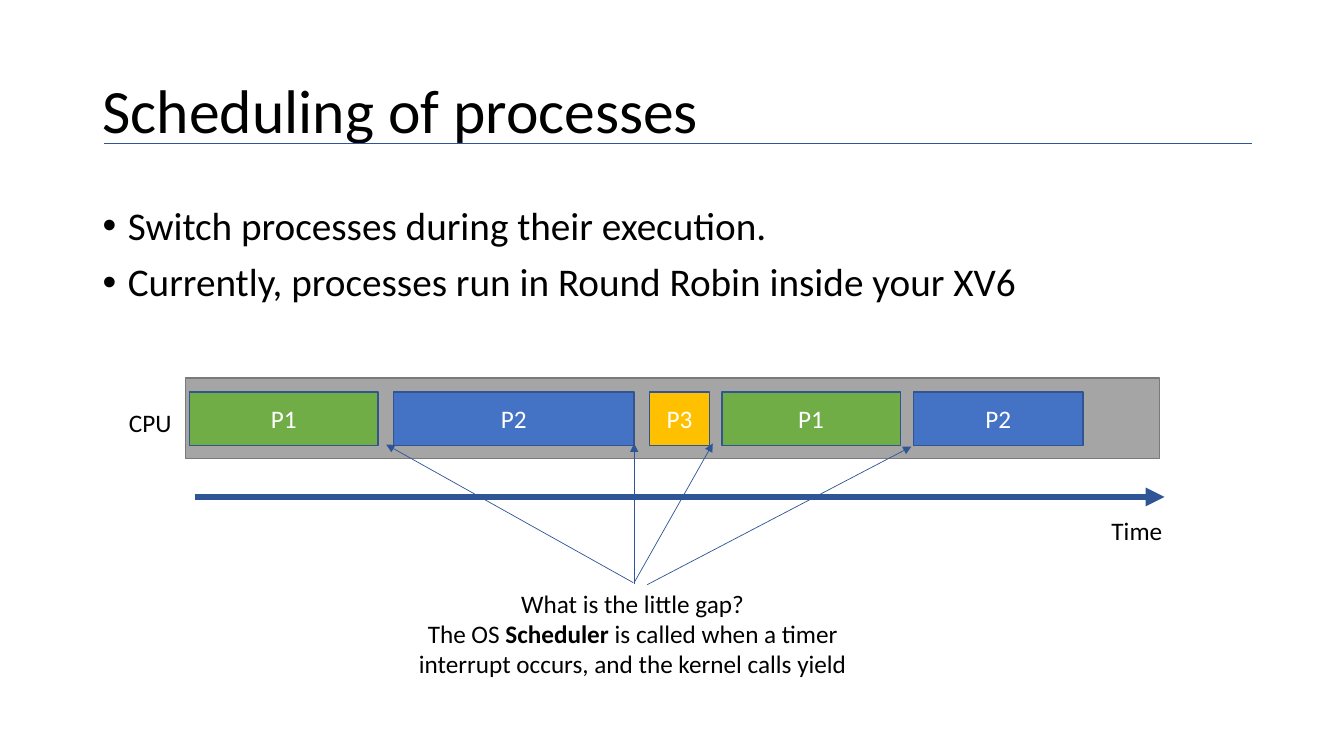
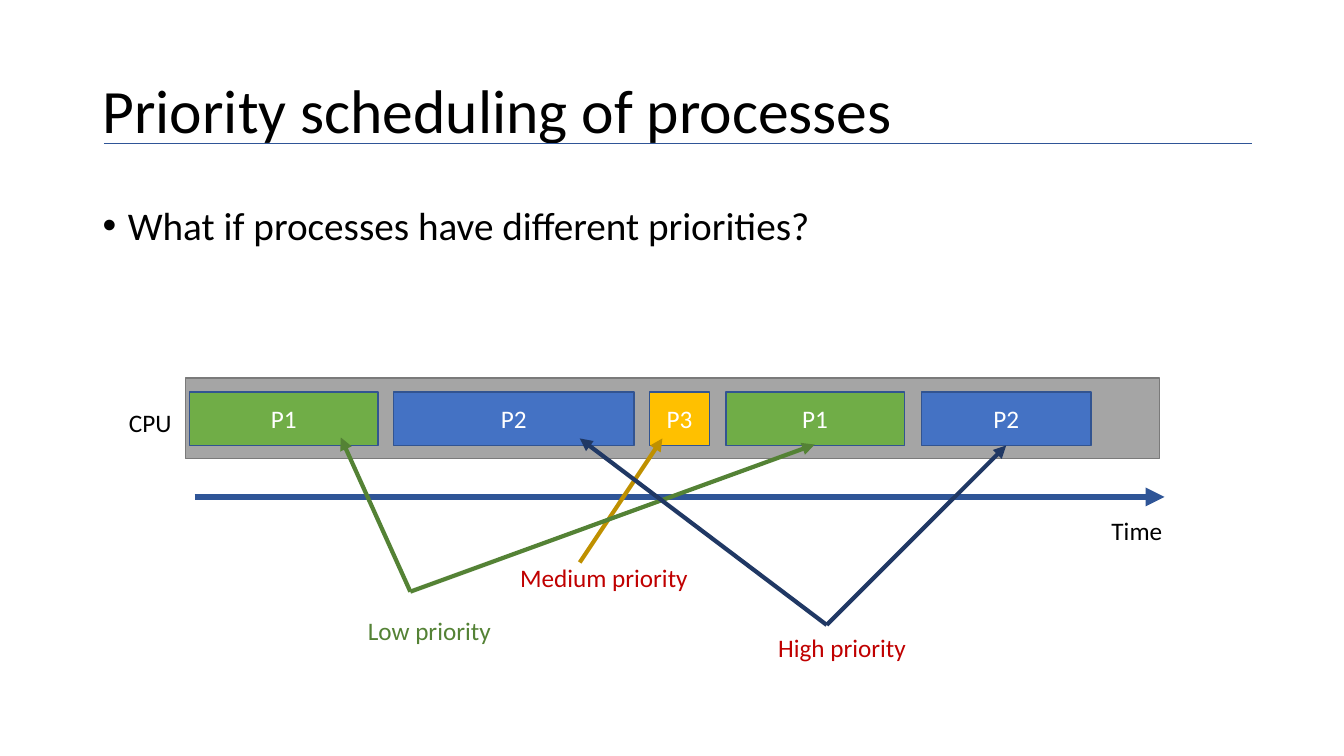
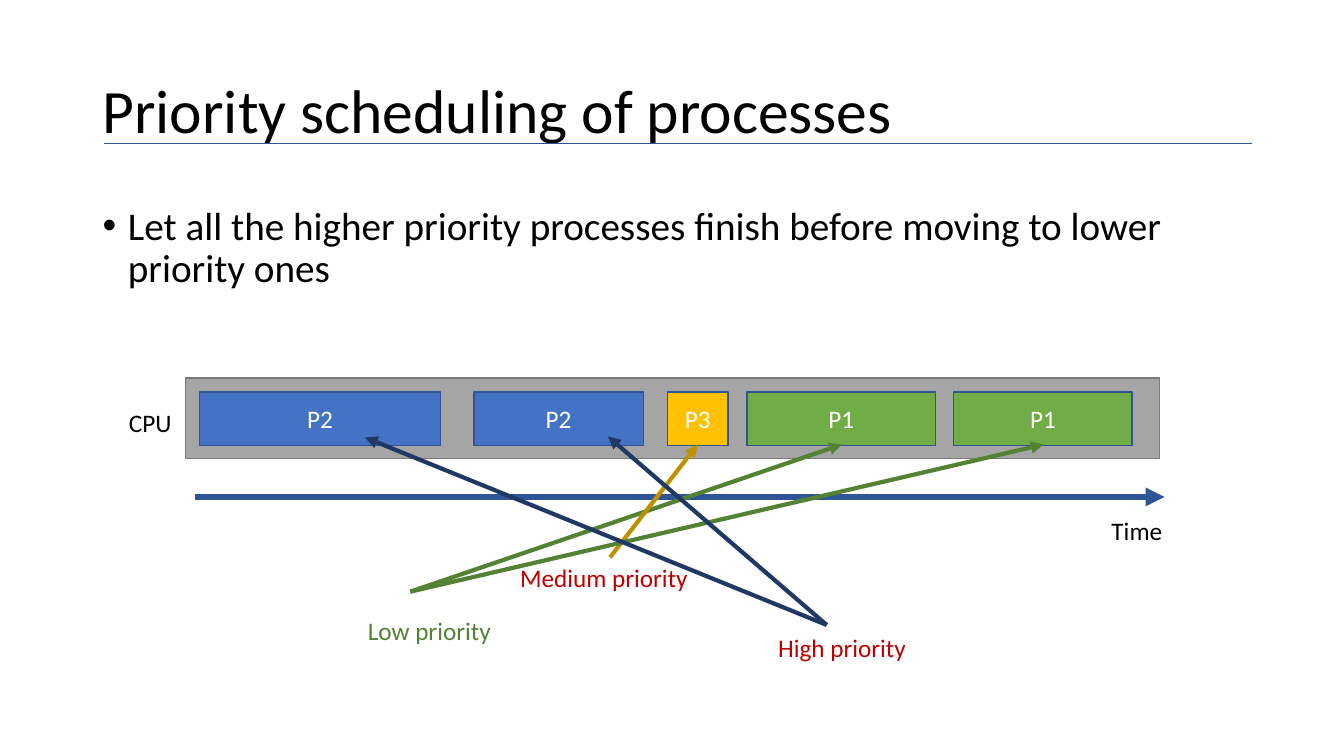
"""Builds three slides on process scheduling."""
import lxml.etree
import pptx
import pptx.dml.color
import pptx.enum.shapes
import pptx.enum.text
import pptx.oxml.ns
import pptx.util

Inches = pptx.util.Inches
Pt = pptx.util.Pt
qn = pptx.oxml.ns.qn
ALIGN = pptx.enum.text.PP_ALIGN
ANCHOR = pptx.enum.text.MSO_ANCHOR

FONT = "Calibri"
COLORS = {
    "text": "000000", "white": "FFFFFF", "rule": "2F5597",
    "cpu": "A5A5A5", "cpu_edge": "7A7A7A", "block_edge": "325491",
    "P1": "70AD47", "P2": "4472C4", "P3": "FFC000",
    "low": "548235", "medium": "BF9000", "high": "203864", "alert": "C00000",
}
BLOCK_TOP, BLOCK_HEIGHT = 3.89, 0.53
LOW_START, HIGH_START = (4.07, 5.87), (8.2, 6.2)


def rgb(name):
    return pptx.dml.color.RGBColor.from_string(COLORS[name])


def write_text(frame, text, size=18, color="text", align=ALIGN.LEFT,
               anchor=ANCHOR.TOP, line_spacing=1.0, space_before=0, bullet=False):
    frame.word_wrap = True
    frame.vertical_anchor = anchor
    for index, line in enumerate(text.split("\n")):
        paragraph = frame.paragraphs[0] if index == 0 else frame.add_paragraph()
        paragraph.alignment = align
        paragraph.line_spacing = line_spacing
        paragraph.space_before = Pt(space_before)
        if bullet:
            properties = paragraph._p.get_or_add_pPr()
            properties.set("marL", str(Inches(0.25)))
            properties.set("indent", str(-Inches(0.25)))
            lxml.etree.SubElement(properties, qn("a:buFont")).set("typeface", "Arial")
            lxml.etree.SubElement(properties, qn("a:buChar")).set("char", "•")
        for part, words in enumerate(line.split("*")):
            run = paragraph.add_run()
            run.text = words
            run.font.name = FONT
            run.font.size = Pt(size)
            run.font.bold = part % 2 == 1
            run.font.color.rgb = rgb(color)


class Deck:
    """Holds the shared style and the slide being drawn."""

    def __init__(self):
        self.presentation = pptx.Presentation()
        self.presentation.slide_width = Inches(13.33)
        self.presentation.slide_height = Inches(7.5)
        self.slide = None

    def add_slide(self, title, bullets, blocks):
        self.slide = self.presentation.slides.add_slide(self.presentation.slide_layouts[6])
        self.text(bullets, 0.92, 2, 11.5, 1.6, size=28,
                  line_spacing=0.9, space_before=10, bullet=True)
        self.text(title, 0.92, 0.4, 11.5, 1.45, size=44,
                  line_spacing=0.9, anchor=ANCHOR.MIDDLE)
        self.line((1.03, 1.42), (12.42, 1.42))
        self.timeline(blocks)

    def text(self, text, left, top, width, height=0.4, **style):
        box = self.slide.shapes.add_textbox(
            Inches(left), Inches(top), Inches(width), Inches(height))
        write_text(box.text_frame, text, **style)

    def rectangle(self, left, top, width, height, fill, edge, text=""):
        shape = self.slide.shapes.add_shape(
            pptx.enum.shapes.MSO_SHAPE.RECTANGLE,
            Inches(left), Inches(top), Inches(width), Inches(height))
        shape.shadow.inherit = False
        shape.fill.solid()
        shape.fill.fore_color.rgb = rgb(fill)
        shape.line.color.rgb = rgb(edge)
        shape.line.width = Pt(1)
        if text:
            write_text(shape.text_frame, text, color="white",
                       align=ALIGN.CENTER, anchor=ANCHOR.MIDDLE)

    def line(self, start, end, color="rule", width=0.5, arrow=False):
        connector = self.slide.shapes.add_connector(
            pptx.enum.shapes.MSO_CONNECTOR.STRAIGHT,
            *(Inches(value) for value in (*start, *end)))
        connector.line.color.rgb = rgb(color)
        connector.line.width = Pt(width)
        if arrow:
            outline = connector.line._get_or_add_ln()
            lxml.etree.SubElement(outline, qn("a:tailEnd")).set("type", "triangle")
        lxml.etree.SubElement(connector._element.spPr, qn("a:effectLst"))

    def timeline(self, blocks):
        self.rectangle(1.84, 3.75, 9.66, 0.8, "cpu", "cpu_edge")
        self.text("CPU", 1.18, 3.99, 0.66)
        self.line((1.93, 4.93), (11.55, 4.93), width=4.5, arrow=True)
        self.text("Time", 10.3, 5.06, 1.95, align=ALIGN.CENTER)
        for process, left, width in blocks:
            self.rectangle(left, BLOCK_TOP, width, BLOCK_HEIGHT,
                           process, "block_edge", process)

    def priorities(self, low_ends, medium_start, medium_end, high_ends):
        arrows = [("low", LOW_START, low_ends[0]),
                  ("medium", medium_start, medium_end),
                  ("low", LOW_START, low_ends[1])]
        arrows += [("high", HIGH_START, end) for end in high_ends]
        for color, start, end in arrows:
            self.line(start, end, color, width=3, arrow=True)
        self.text("Low priority", 3.55, 6.06, 1.44, color="low")
        self.text("High priority", 7.62, 6.22, 1.77, color="alert")
        self.text("Medium priority", 5.06, 5.53, 1.98, color="alert")


def main():
    deck = Deck()

    deck.add_slide(
        "Scheduling of processes",
        "Switch processes during their execution.\n"
        "Currently, processes run in Round Robin inside your XV6",
        [("P1", 1.88, 1.87), ("P2", 3.9, 2.39), ("P3", 6.44, 0.6),
         ("P1", 7.16, 1.77), ("P2", 9.06, 1.68)])
    deck.text("What is the little gap?\nThe OS *Scheduler* is called when a timer "
              "interrupt occurs, and the kernel calls yield",
              3.78, 5.78, 4.99, 1.01, align=ALIGN.CENTER, anchor=ANCHOR.MIDDLE)
    for start, end in [((6.28, 5.78), (3.83, 4.41)), ((6.29, 5.79), (6.29, 4.4)),
                       ((6.29, 5.78), (7.07, 4.4)), ((6.42, 5.8), (9.04, 4.43))]:
        deck.line(start, end, arrow=True)

    deck.add_slide(
        "Priority scheduling of processes",
        "What if processes have different priorities?",
        [("P1", 1.88, 1.87), ("P2", 3.9, 2.39), ("P3", 6.44, 0.6),
         ("P1", 7.2, 1.77), ("P2", 9.14, 1.68)])
    deck.priorities([(3.38, 4.34), (8.08, 4.41)], (5.75, 5.58), (6.57, 4.35),
                    [(5.75, 4.35), (9.98, 4.42)])

    deck.add_slide(
        "Priority scheduling of processes",
        "Let all the higher priority processes finish before moving to lower priority ones",
        [("P2", 1.98, 2.39), ("P2", 4.7, 1.68), ("P3", 6.62, 0.6),
         ("P1", 7.41, 1.87), ("P1", 9.46, 1.77)])
    deck.priorities([(8.35, 4.41), (10.35, 4.41)], (6.05, 5.53), (6.92, 4.41),
                    [(3.62, 4.34), (6.03, 4.33)])

    deck.presentation.save("out.pptx")


if __name__ == "__main__":
    main()
